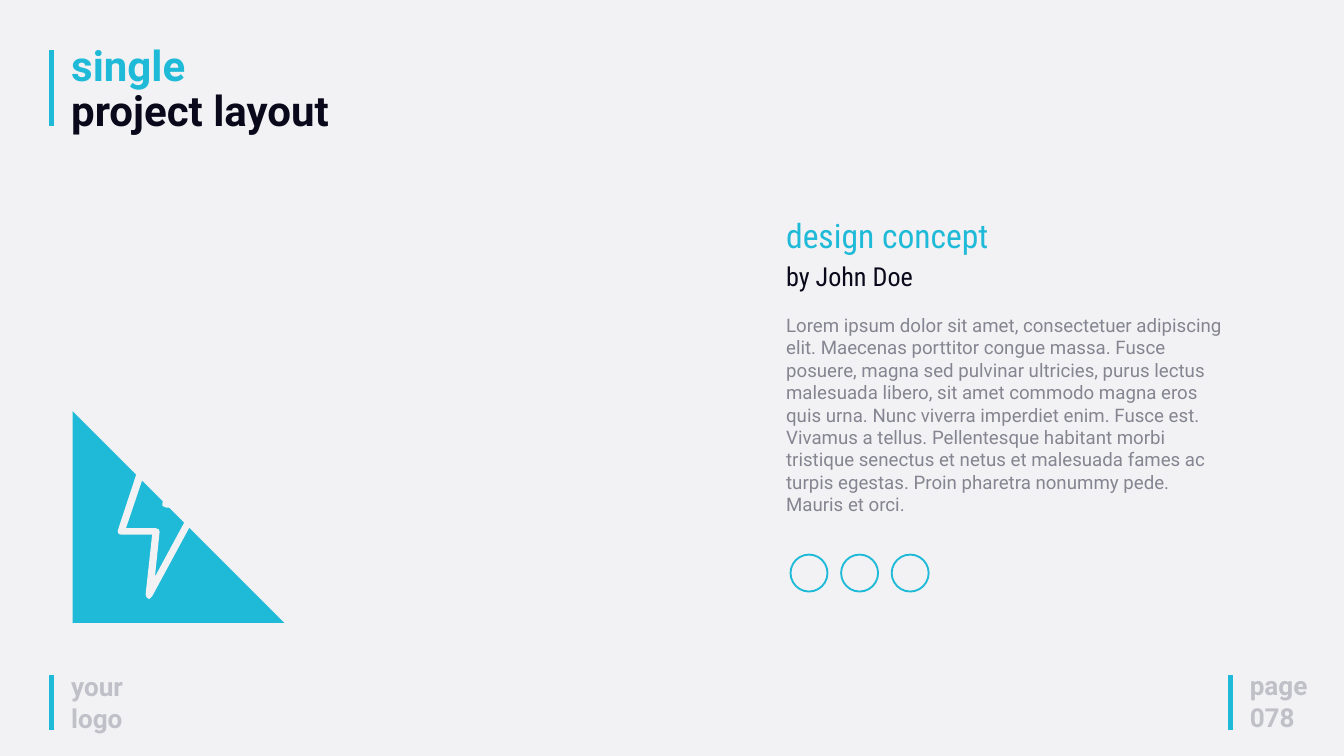
from lxml import etree
from pptx import Presentation
from pptx.dml.color import RGBColor
from pptx.enum import shapes, text
from pptx.oxml import ns
from pptx.util import Pt

COLORS = {"paper": "F2F2F5", "accent": "1FBAD7", "ink": "0A091B", "body": "858591", "footer": "C0C0C8"}
BOLD_FONT, LIGHT_FONT = "Roboto", "Roboto Condensed"

TITLE = [("single", "accent"), ("project layout", "ink")]
TITLE_BOX = (69.1, 44.6, 429, 105)
STORY = (
    "Lorem ipsum dolor sit amet, consectetuer adipiscing elit. Maecenas porttitor congue massa. "
    "Fusce posuere, magna sed pulvinar ultricies, purus lectus malesuada libero, sit amet commodo "
    "magna eros quis urna. Nunc viverra imperdiet enim. Fusce est. Vivamus a tellus. Pellentesque "
    "habitant morbi tristique senectus et netus et malesuada fames ac turpis egestas. Proin pharetra "
    "nonummy pede. Mauris et orci."
)
# box, paragraphs, size, font, colour, bold
TEXTS = [
    ((69.1, 715, 85.7, 75), ["your logo"], 28, BOLD_FONT, "footer", True),
    ((1332, 714.2, 136.8, 75), ["page", "078"], 28, BOLD_FONT, "footer", True),
    ((835.2, 226.8, 518.4, 51), ["design concept"], 36, LIGHT_FONT, "accent", False),
    ((835.2, 332.6, 483, 225.4), [STORY], 20, BOLD_FONT, "body", False),
    ((835.2, 275.8, 518.4, 41), ["by John Doe"], 28, LIGHT_FONT, "ink", False),
]
BARS = [(55.4, 54, 135.4), (55.4, 723.6, 782), (1318.3, 723.6, 782)]
BADGE_COUNT, BADGE_LEFT, BADGE_TOP, BADGE_SIZE, BADGE_STEP = 3, 847, 594.2, 39.6, 54.2
TRIANGLE_BOX = (77.8, 440.6, 226.8, 226.8)
BOLT = [
    [(214.5, 536), (182, 536), (201, 480), (200.5, 477.5), (197.3, 476), (160, 476), (156.2, 478),
     (126, 568.8), (126.8, 571.8), (129.6, 573.1), (163.4, 573.1), (156.2, 637.2), (157, 640),
     (159.8, 641.5), (163.4, 639.4), (216, 541.4), (216, 538)],
    [(165.6, 618.5), (171.4, 569.5), (170.2, 567), (167, 565.9), (135.4, 565.9), (162.7, 483.1),
     (191.5, 483.1), (173.5, 538.6), (174.5, 542), (177.8, 543.6), (205.9, 543.6)],
]


def color(name):
    return RGBColor.from_string(COLORS[name])


def points(values):
    return [Pt(value) for value in values]


def add_run(paragraph, words, size, font, ink, bold):
    run = paragraph.add_run()
    run.text = words
    run.font.size, run.font.name, run.font.bold = Pt(size), font, bold
    run.font.color.rgb = color(ink)


def fill_plain(shape, name):
    shape.shadow.inherit = False
    shape.fill.solid()
    shape.fill.fore_color.rgb = color(name)
    shape.line.fill.background()


def add_title(slide):
    title = slide.shapes.title
    title.left, title.top, title.width, title.height = points(TITLE_BOX)
    frame = title.text_frame
    frame.word_wrap, frame.auto_size = True, text.MSO_AUTO_SIZE.NONE
    frame.vertical_anchor = text.MSO_ANCHOR.TOP
    heading = frame.paragraphs[0]
    heading.alignment, heading.line_spacing = text.PP_ALIGN.LEFT, 0.9
    for index, (words, ink) in enumerate(TITLE):
        if index:
            heading.add_line_break()
        add_run(heading, words, 45, BOLD_FONT, ink, True)


def add_words(slide, box, lines, *style):
    frame = slide.shapes.add_textbox(*points(box)).text_frame
    frame.word_wrap = True
    for index, words in enumerate(lines):
        paragraph = frame.add_paragraph() if index else frame.paragraphs[0]
        add_run(paragraph, words, *style)


def add_bar(slide, x, top, bottom):
    bar = slide.shapes.add_connector(shapes.MSO_CONNECTOR.STRAIGHT, *points((x, top, x, bottom)))
    bar.line.color.rgb, bar.line.width = color("accent"), Pt(5)
    etree.SubElement(bar._element.spPr, ns.qn("a:effectLst"))


def add_badge(slide, index):
    box = (BADGE_LEFT + index * BADGE_STEP, BADGE_TOP, BADGE_SIZE, BADGE_SIZE)
    badge = slide.shapes.add_shape(shapes.MSO_SHAPE.OVAL, *points(box))
    badge.shadow.inherit = False
    badge.fill.background()
    badge.line.color.rgb, badge.line.width = color("accent"), Pt(2)


def add_bolt(slide):
    triangle = slide.shapes.add_shape(shapes.MSO_SHAPE.RIGHT_TRIANGLE, *points(TRIANGLE_BOX))
    fill_plain(triangle, "accent")
    outer, inner = BOLT
    builder = slide.shapes.build_freeform(*outer[0], scale=Pt(1))
    builder.add_line_segments(outer[1:], close=True)
    builder.move_to(*inner[0])
    builder.add_line_segments(inner[1:], close=True)
    fill_plain(builder.convert_to_shape(), "paper")


def main():
    """Build the single project layout slide."""
    deck = Presentation()
    deck.slide_width, deck.slide_height = points((1440, 810))
    slide = deck.slides.add_slide(deck.slide_layouts.get_by_name("Title Only"))
    slide.background.fill.solid()
    slide.background.fill.fore_color.rgb = color("paper")
    for bar in BARS:
        add_bar(slide, *bar)
    add_title(slide)
    for words in TEXTS:
        add_words(slide, *words)
    for index in range(BADGE_COUNT):
        add_badge(slide, index)
    add_bolt(slide)
    deck.save("out.pptx")


if __name__ == "__main__":
    main()
